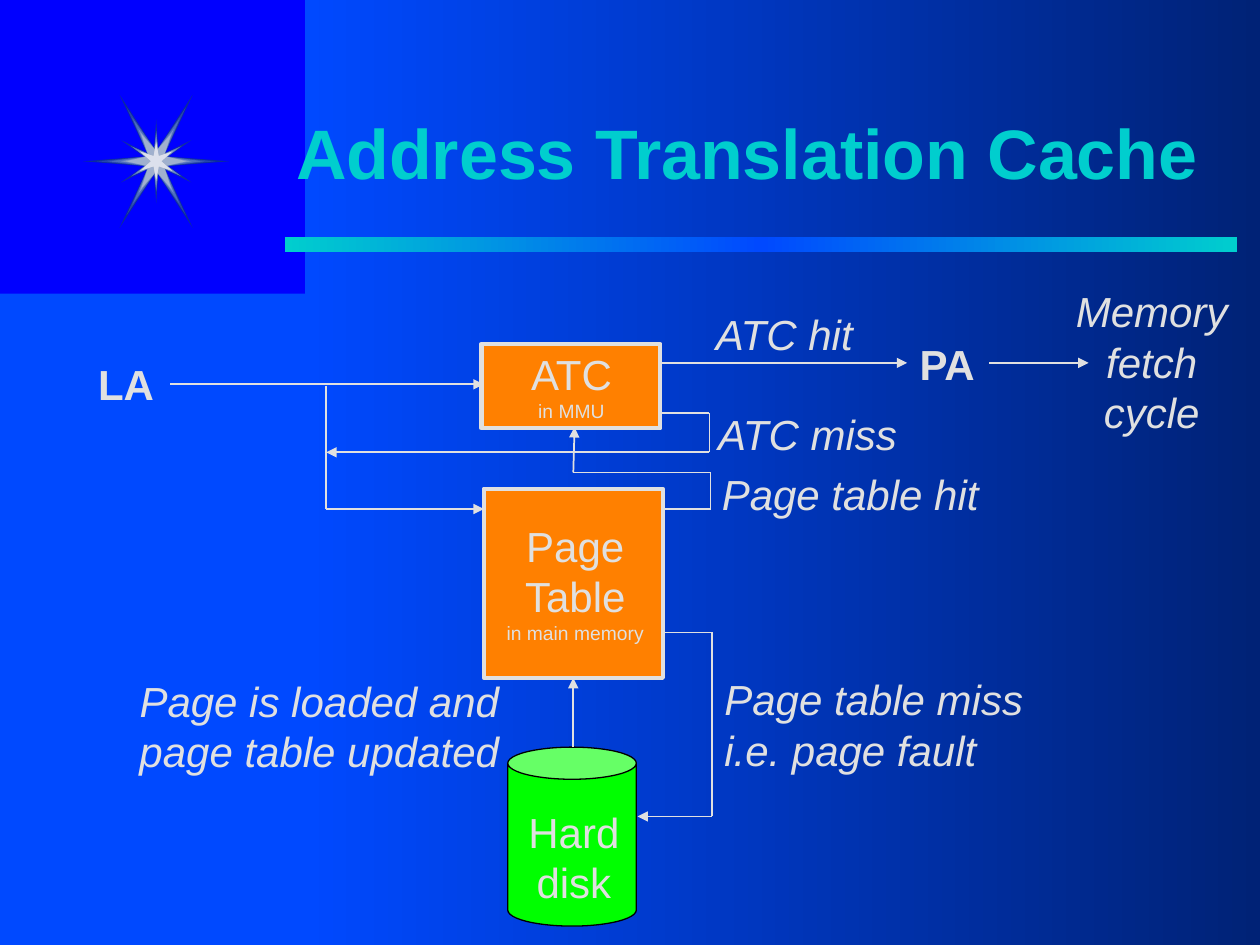
from copy import deepcopy

from lxml import etree
from pptx import Presentation
from pptx.dml.color import RGBColor
from pptx.enum.shapes import MSO_CONNECTOR, MSO_SHAPE
from pptx.enum.text import MSO_ANCHOR, MSO_AUTO_SIZE, PP_ALIGN
from pptx.oxml.ns import qn
from pptx.util import Inches, Pt

COLORS = {
    "background": "0000FF", "blue": "0049FF", "navy": "002276", "teal": "00CECE",
    "light": "E0E0E0", "orange": "FF8000", "green": "00FF00", "black": "000000",
}
FONT = "Arial"


def add_block(kind, box, fill, line=None, width=0):
    sp = s.shapes.add_shape(kind, *[Inches(v) for v in box])
    sp.shadow.inherit = False
    if isinstance(fill, list):
        sp.fill.gradient()
        sp.fill.gradient_angle = 0
        stops = sp._element.spPr.find(qn("a:gradFill")).find(qn("a:gsLst"))
        while len(stops) < len(fill):
            stops.append(deepcopy(stops[0]))
        for i, (stop, name) in enumerate(zip(sp.fill.gradient_stops, fill)):
            stop.position = i / (len(fill) - 1)
            stop.color.rgb = RGBColor.from_string(COLORS[name])
    else:
        sp.fill.solid()
        sp.fill.fore_color.rgb = RGBColor.from_string(COLORS[fill])
    if line:
        sp.line.color.rgb = RGBColor.from_string(COLORS[line])
        sp.line.width = Pt(width)
    else:
        sp.line.fill.background()
    return sp


prs = Presentation()
prs.slide_width, prs.slide_height = Inches(10), Inches(7.5)
s = prs.slides.add_slide(prs.slide_layouts[5])
s.background.fill.solid()
s.background.fill.fore_color.rgb = RGBColor.from_string(COLORS["background"])

add_block(MSO_SHAPE.RECTANGLE, (0, 2.33, 2.42, 5.17), "blue")
add_block(MSO_SHAPE.RECTANGLE, (2.42, 0, 7.58, 7.5), ["blue", "navy"])
add_block(MSO_SHAPE.RECTANGLE, (2.26, 1.88, 7.56, 0.12), ["teal", "blue", "teal"])

star_x, star_y = 1.24, 1.28
star_layers = [
    ("wide", 0.58, "0B2B9E"), ("tall", 0.28, "102FA1"), ("wide", 0.47, "2645AC"),
    ("tall", 0.2, "4464B9"), ("wide", 0.38, "4464B9"), ("tall", 0.19, "4E6EBC"),
    ("wide", 0.35, "4E6EBC"), ("tall", 0.18, "5A79C0"), ("tall", 0.16, "7992C6"),
    ("wide", 0.28, "7992C6"), ("wide", 0.24, "A0B0CE"), ("tall", 0.13, "D9D9D9"),
    ("tall", 0.12, "DCE0ED"),
]
for kind, reach, color in star_layers:
    if kind == "wide":
        quarter = [(0, -0.08), (reach / 2, -0.91 * reach), (0.06, -0.04), (reach, 0)]
    else:
        quarter = [(0, -1.2 * reach), (0.02, -0.04), (reach, -0.6 * reach), (0.04, 0)]
    right = quarter + [(x, -y) for x, y in quarter[-2::-1]]
    outline = right + [(-x, y) for x, y in right[-2:0:-1]]
    points = [(Inches(star_x + x), Inches(star_y + y)) for x, y in outline]
    builder = s.shapes.build_freeform(*points[0])
    builder.add_line_segments(points[1:], close=True)
    sp = builder.convert_to_shape()
    sp.shadow.inherit = False
    sp.fill.solid()
    sp.fill.fore_color.rgb = RGBColor.from_string(color)
    sp.line.fill.background()

title = s.shapes.title
title.left, title.top, title.width, title.height = [Inches(v) for v in (2.25, 0.58, 7.58, 1.25)]
s.shapes._spTree.append(title._element)
tf = title.text_frame
tf.text = "Address Translation Cache"
tf.auto_size = MSO_AUTO_SIZE.NONE
tf.vertical_anchor = MSO_ANCHOR.MIDDLE
p = tf.paragraphs[0]
p.alignment = PP_ALIGN.LEFT
r = p.runs[0]
r.font.name, r.font.size, r.font.bold = FONT, Pt(40), True
r.font.color.rgb = RGBColor.from_string(COLORS["teal"])
effects = etree.Element(qn("a:effectLst"))
shadow = etree.SubElement(effects, qn("a:outerShdw"), dist="25400", dir="2700000")
etree.SubElement(shadow, qn("a:srgbClr"), val=COLORS["black"])
r.font._element.find(qn("a:solidFill")).addnext(effects)

add_block(MSO_SHAPE.RECTANGLE, (3.82, 2.73, 1.42, 0.67), "orange", "light", 2.5)
add_block(MSO_SHAPE.RECTANGLE, (3.84, 3.88, 1.42, 1.5), "orange", "light", 2.5)
disk = add_block(MSO_SHAPE.CAN, (4.03, 5.93, 1.02, 1.42), "green", "black", 0.75)
disk.adjustments[0] = 0.25

routes = [
    [(1.35, 3.05), (3.84, 3.05)],
    [(2.59, 3.06), (2.59, 4.04), (3.84, 4.04)],
    [(5.24, 2.88), (7.2, 2.88)],
    [(7.85, 2.88), (8.64, 2.88)],
    [(5.24, 3.28), (5.63, 3.28), (5.63, 3.59), (2.59, 3.59)],
    [(5.25, 4.04), (5.64, 4.04), (5.64, 3.75), (4.55, 3.75), (4.56, 3.39)],
    [(5.25, 5.02), (5.65, 5.02), (5.65, 6.48), (5.06, 6.48)],
    [(4.55, 5.93), (4.55, 5.38)],
]
for stops in routes:
    for start, end in zip(stops, stops[1:]):
        line = s.shapes.add_connector(
            MSO_CONNECTOR.STRAIGHT, *[Inches(v) for v in start + end])
        line.line.color.rgb = RGBColor.from_string(COLORS["light"])
        line.line.width = Pt(1)
        if end == stops[-1]:
            etree.SubElement(line.line._get_or_add_ln(), qn("a:tailEnd"), type="triangle")
        etree.SubElement(line._element.spPr, qn("a:effectLst"))

LEFT, CENTER, RIGHT = PP_ALIGN.LEFT, PP_ALIGN.CENTER, PP_ALIGN.RIGHT
labels = [
    ((3.84, 2.72, 1.39, 0.68), [("ATC", 24), ("in MMU", 11)], CENTER, ""),
    ((3.87, 4.08, 1.39, 1.08), [("Page Table", 24), ("in main memory", 11)], CENTER, ""),
    ((4.05, 6.35, 1.01, 0.9), [("Hard disk", 24)], CENTER, ""),
    ((0.68, 2.8, 0.7, 0.5), [("LA", 24)], LEFT, "bold"),
    ((7.2, 2.64, 0.7, 0.5), [("PA", 24)], LEFT, "bold"),
    ((5.24, 2.4, 1.97, 0.5), [("ATC hit", 24)], CENTER, "italic"),
    ((5.6, 3.19, 1.68, 0.5), [("ATC miss", 24)], LEFT, "italic"),
    ((5.63, 3.67, 3.09, 0.5), [("Page table hit", 24)], LEFT, "italic"),
    ((5.65, 5.3, 3.09, 0.9), [("Page table miss", 24), ("i.e. page fault", 24)], LEFT, "italic"),
    ((1, 5.31, 3.06, 1.3), [("Page is loaded and page table updated", 24)], RIGHT, "italic"),
    ((8.28, 2.22, 1.72, 1.3), [("Memory fetch cycle", 24)], CENTER, "italic"),
]
for box, lines, align, style in labels:
    tf = s.shapes.add_textbox(*[Inches(v) for v in box]).text_frame
    tf.word_wrap = True
    tf.text = "\n".join(text for text, size in lines)
    for p, (text, size) in zip(tf.paragraphs, lines):
        p.alignment = align
        font = p.runs[0].font
        font.name, font.size = FONT, Pt(size)
        font.bold, font.italic = style == "bold", style == "italic"
        font.color.rgb = RGBColor.from_string(COLORS["light"])

prs.save("out.pptx")
